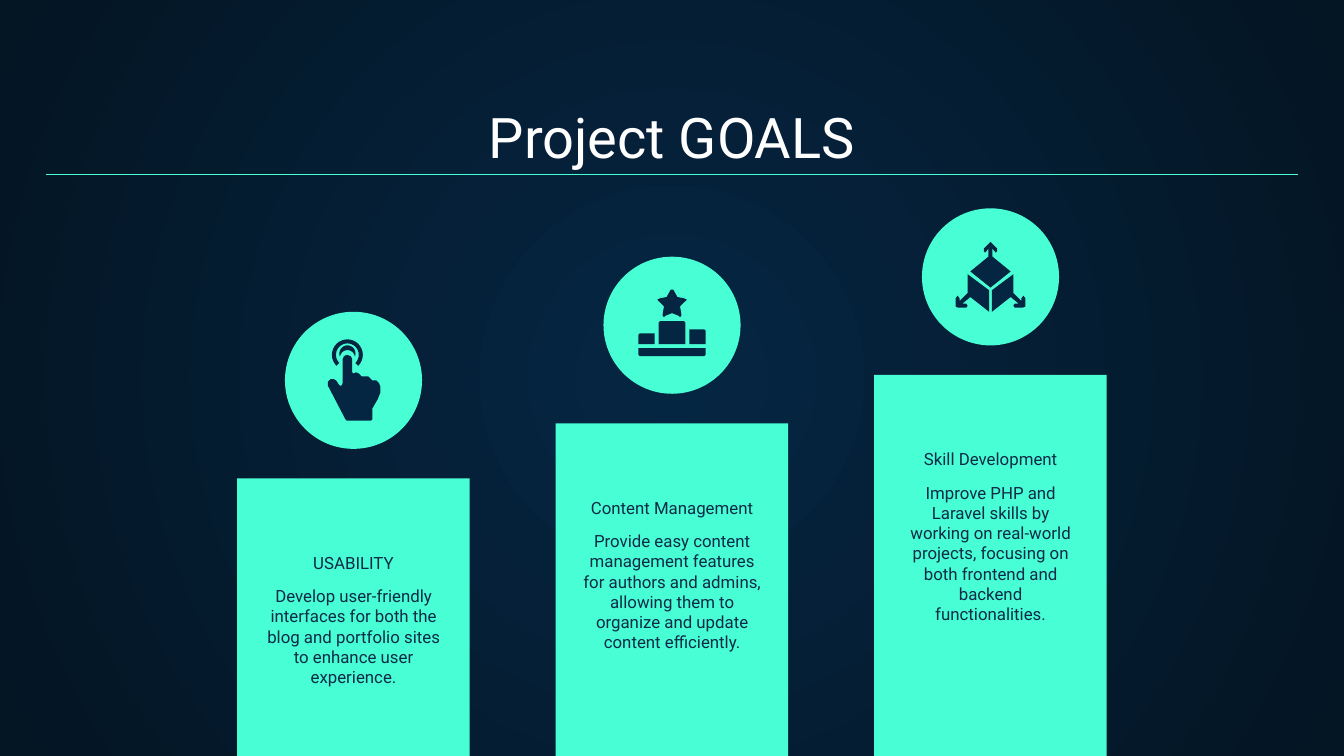
from math import cos, radians, sin

from lxml.etree import SubElement
from pptx import Presentation
from pptx.dml.color import RGBColor
from pptx.enum.shapes import MSO_CONNECTOR, MSO_SHAPE
from pptx.enum.text import MSO_ANCHOR, MSO_AUTO_SIZE, PP_ALIGN
from pptx.oxml.ns import qn
from pptx.util import Inches, Pt

MINT, NAVY, DARK, INK, WHITE = "48FFD5", "052643", "041523", "0E2A47", "FFFFFF"
TITLE = "Project GOALS"


def mirrored(half):
    """Close an outline that is symmetric about x = 0."""
    return half + [(-x, y) for x, y in reversed(half)]


def flipped(outline):
    return [(-x, y) for x, y in outline]


def arc(cx, cy, radius, start, end, steps=24):
    angles = [radians(start + (end - start) * i / steps) for i in range(steps + 1)]
    return [(cx + radius * cos(a), cy + radius * sin(a)) for a in angles]


# Icon outlines: hundredths of an inch from the centre of their circle
TOUCH_RING = arc(-4.5, -19, 11.5, 135, 405) + arc(-4.5, -19, 8.5, 405, 135)
TOUCH_DOT = arc(-4.5, -20, 6, 160, 380) + arc(-4.5, -17, 5.5, 350, 190)
HAND = [
    (-5, -19), (-7, -18), (-8, -16), (-8, 2), (-9, 4), (-10, 4), (-11, 3),
    (-13, 0), (-15, -1), (-17, -1), (-19, 1), (-19, 4), (-6, 29), (-5, 30),
    (13, 30), (14, 29), (14, 21), (18, 14), (20, 9), (20, 5), (19, 2), (17, 0),
    (14, 0), (13, -1), (11, -3), (9, -3), (6, -3), (4, -5), (2, -6), (0, -5),
    (-1, -6), (-1, -16), (-2, -18),
]
STAR = mirrored([(-1, -26.5), (-4, -21), (-9, -20), (-11, -19), (-10, -18),
                 (-6, -14), (-7, -8), (-7, -7), (-6, -6), (-5, -7), (0, -9)])
FIRST_PLACE = mirrored([(-9, -3), (-10, -2), (-10, 14)])
SECOND_PLACE = [(13, 3), (13, 14), (25, 14), (25, 4), (24, 3)]
THIRD_PLACE = [(-24, 6), (-25, 7), (-25, 14), (-13, 14), (-13, 6)]
PODIUM_BASE = mirrored([(-25, 17), (-25, 22), (-24, 23)])
CUBE_TOP = mirrored([(0, -26), (-1, -25), (-5, -21), (-5, -19), (-4, -18),
                     (-3, -19), (-1.5, -21), (-1.5, -15), (-15, -4), (0, 8)])
CUBE_SIDE = [(17, -2), (1, 10), (1, 26), (15, 15), (21, 20), (18, 20), (17, 21.5),
             (18, 23), (24, 23), (26, 22), (26, 16), (24.5, 14), (23, 16),
             (23, 18), (17, 12)]

# heading, description, top of the column, icon
GOALS = [
    ("USABILITY",
     "Develop user-friendly interfaces for both the blog and portfolio sites "
     "to enhance user experience.",
     3.56, [TOUCH_RING, TOUCH_DOT, HAND]),
    ("Content Management",
     "Provide easy content management features for authors and admins, "
     "allowing them to organize and update content efficiently.",
     3.15, [STAR, SECOND_PLACE, FIRST_PLACE, PODIUM_BASE, THIRD_PLACE]),
    ("Skill Development",
     "Improve PHP and Laravel skills by working on real-world projects, "
     "focusing on both frontend and backend functionalities.",
     2.79, [CUBE_SIDE, flipped(CUBE_SIDE), CUBE_TOP]),
]
FIRST_CENTER, PITCH = 2.63, 2.37
COLUMN_WIDTH, COLUMN_BOTTOM = 1.73, 5.66
CIRCLE = 1.02


def color(code):
    return RGBColor.from_string(code)


def fill_plain(shape, code):
    shape.fill.solid()
    shape.fill.fore_color.rgb = color(code)
    shape.line.fill.background()
    shape.shadow.inherit = False


def add_preset(kind, left, top, width, height):
    shape = slide.shapes.add_shape(
        kind, Inches(left), Inches(top), Inches(width), Inches(height))
    fill_plain(shape, MINT)


def add_outline(points, center_x, center_y):
    spots = [(Inches(center_x + x / 100), Inches(center_y + y / 100)) for x, y in points]
    builder = slide.shapes.build_freeform(*spots[0])
    builder.add_line_segments(spots[1:], close=True)
    fill_plain(builder.convert_to_shape(), NAVY)


def set_text(shape, text, size, code, anchor):
    frame = shape.text_frame
    frame.text = text
    frame.word_wrap = True
    frame.auto_size = MSO_AUTO_SIZE.NONE
    frame.vertical_anchor = anchor
    frame.margin_left = frame.margin_right = Inches(0.1)
    frame.margin_top = frame.margin_bottom = Inches(0.1)
    paragraph = frame.paragraphs[0]
    paragraph.alignment = PP_ALIGN.CENTER
    font = paragraph.runs[0].font
    font.name, font.size, font.color.rgb = "Roboto", Pt(size), color(code)


def add_label(text, center, top, width, height, anchor):
    box = slide.shapes.add_textbox(
        Inches(center - width / 2), Inches(top), Inches(width), Inches(height))
    set_text(box, text, 9, INK, anchor)


def set_radial_background():
    fill = slide.background.fill
    fill.gradient()
    for stop, code in zip(fill.gradient_stops, (NAVY, DARK)):
        stop.color.rgb = color(code)
    gradient = slide.background._cSld.find(".//" + qn("a:gradFill"))
    gradient.remove(gradient.find(qn("a:lin")))
    circle = SubElement(gradient, qn("a:path"), {"path": "circle"})
    SubElement(circle, qn("a:fillToRect"), dict.fromkeys("ltrb", "50000"))


prs = Presentation()
prs.slide_width, prs.slide_height = Inches(10), Inches(5.625)
slide = prs.slides.add_slide(prs.slide_layouts[5])
set_radial_background()

title = slide.shapes.title
title.left, title.top = Inches(0.34), Inches(0.7)
title.width, title.height = Inches(9.32), Inches(0.66)
set_text(title, TITLE, 30, WHITE, MSO_ANCHOR.BOTTOM)

rule = slide.shapes.add_connector(
    MSO_CONNECTOR.STRAIGHT, Inches(0.34), Inches(1.3), Inches(9.66), Inches(1.3))
rule.line.color.rgb = color(MINT)
rule.line.width = Pt(0.75)
SubElement(rule._element.spPr, qn("a:effectLst"))

for index, (heading, description, top, icon) in enumerate(GOALS):
    center = FIRST_CENTER + index * PITCH
    circle_top = top - 1.24
    add_preset(MSO_SHAPE.RECTANGLE, center - COLUMN_WIDTH / 2, top,
               COLUMN_WIDTH, COLUMN_BOTTOM - top)
    add_label(heading, center, top + 0.59, 2.27, 0.21, MSO_ANCHOR.BOTTOM)
    add_label(description, center, top + 0.7, 1.52, 0.55, MSO_ANCHOR.TOP)
    add_preset(MSO_SHAPE.OVAL, center - CIRCLE / 2, circle_top, CIRCLE, CIRCLE)
    for outline in icon:
        add_outline(outline, center, circle_top + CIRCLE / 2)

prs.save("out.pptx")
